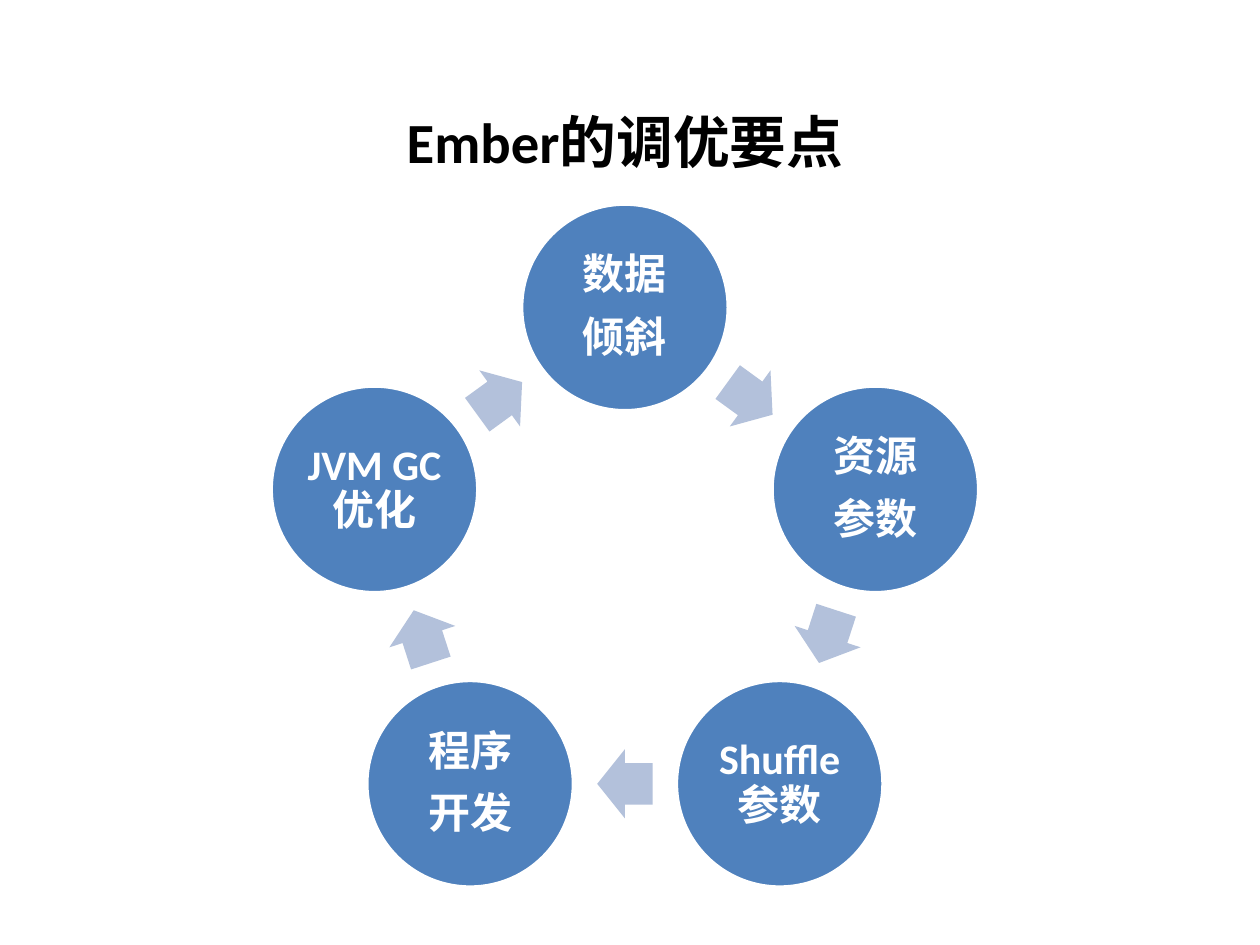
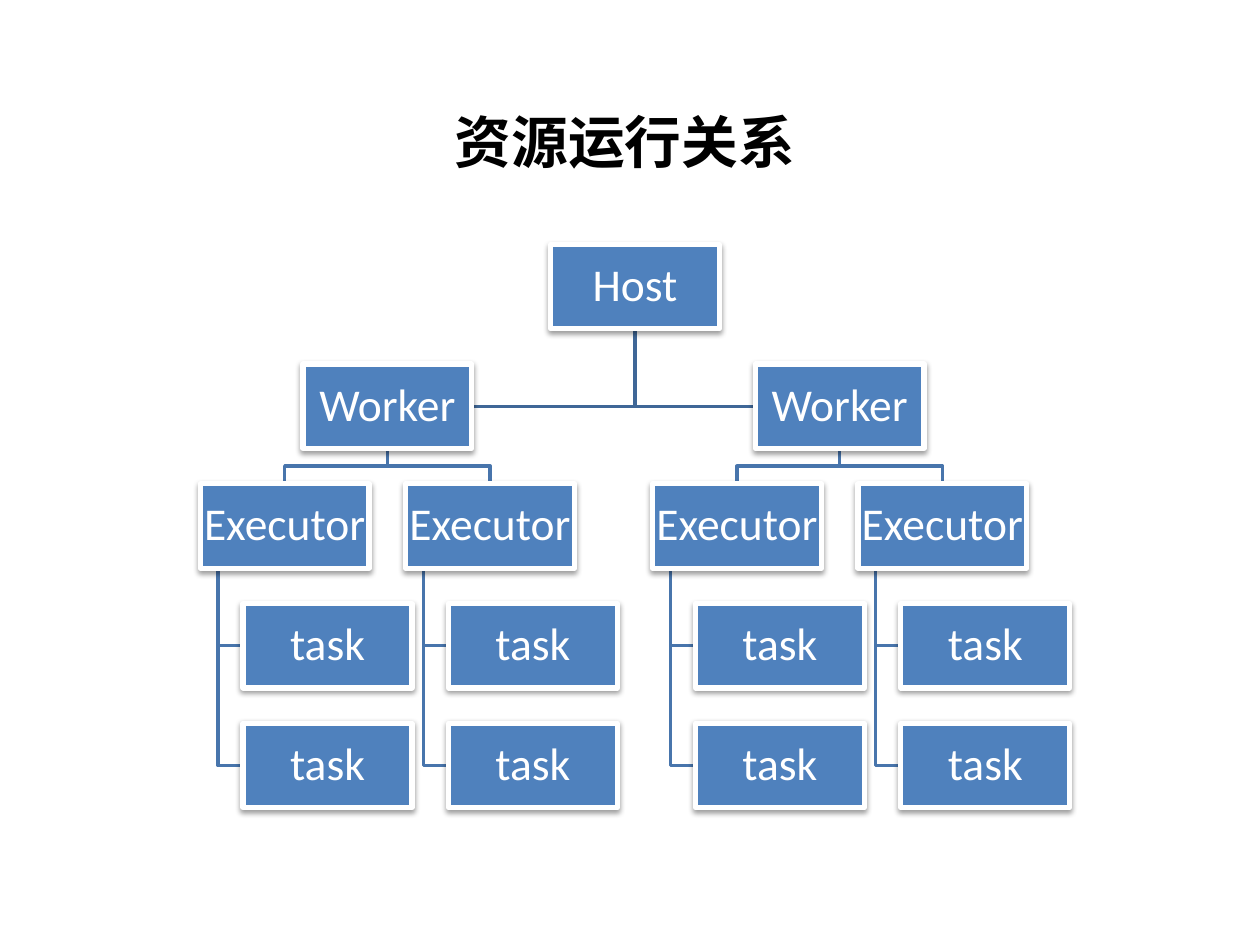
from dataclasses import dataclass
from math import cos, radians, sin

from lxml.etree import SubElement
from pptx import Presentation
from pptx.dml.color import RGBColor
from pptx.enum.shapes import MSO_SHAPE
from pptx.enum.text import MSO_ANCHOR, MSO_AUTO_SIZE, PP_ALIGN
from pptx.oxml.ns import qn
from pptx.util import Pt

PX = 9144


@dataclass(frozen=True)
class Theme:
    """Colours and type sizes of the deck."""
    font: str = "Calibri"
    ink: str = "000000"
    paper: str = "FFFFFF"
    accent: str = "4F81BD"
    pale: str = "B3C1DB"
    upper_branch: str = "3F6797"
    lower_branch: str = "4875AC"
    title_size: float = 32.4
    topic_size: int = 24
    node_size: int = 26


THEME = Theme()
TITLE_BOX = (43, 84, 906, 55)
RING_BOX = (215, 162, 562, 543)
TREE_BOX = (159, 194, 689, 448)

TOPICS = [["数据", "倾斜"], ["资源", "参数"], ["Shuffle参数"], ["程序", "开发"], ["JVM GC优化"]]
HOST = ("Host", [("Worker", [("Executor", ["task", "task"])] * 2)] * 2)


def emu(*lengths):
    """Turn px lengths into EMU."""
    return [round(length * PX) for length in lengths]


def assign(target, values):
    """Set each attribute named in a dict of format values."""
    for name, value in values.items():
        setattr(target, name, value)


def set_text(shape, lines, size, color, bold, inset=None, wrap=True, spaced=True):
    """Write centred lines into a shape."""
    frame = shape.text_frame
    assign(frame, {"text": "\n".join(lines), "word_wrap": wrap,
                   "auto_size": MSO_AUTO_SIZE.NONE, "vertical_anchor": MSO_ANCHOR.MIDDLE})
    if inset is not None:
        margin = emu(inset)[0]
        assign(frame, {f"margin_{side}": margin for side in ("left", "top", "right", "bottom")})
    for paragraph in frame.paragraphs:
        paragraph.alignment = PP_ALIGN.CENTER
        if spaced:
            assign(paragraph, {"line_spacing": 0.9, "space_after": Pt(size * 0.4)})
        for run in paragraph.runs:
            assign(run.font, {"name": THEME.font, "size": Pt(size), "bold": bold})
            run.font.color.rgb = RGBColor.from_string(color)


def set_outline(shape, color, width):
    """Give a shape a solid outline and no theme shadow."""
    shape.line.color.rgb = RGBColor.from_string(color)
    shape.line.width = Pt(width)
    shape.shadow.inherit = False


def add_filled(slide, preset, box, fill, outline_width=0):
    """Add a preset shape with a plain fill and an optional white outline."""
    shape = slide.shapes.add_shape(preset, *emu(*box))
    shape.fill.solid()
    shape.fill.fore_color.rgb = RGBColor.from_string(fill)
    if outline_width:
        set_outline(shape, THEME.paper, outline_width)
    else:
        shape.line.fill.background()
        shape.shadow.inherit = False
    return shape


def add_titled_slide(deck, title):
    """Add a title-only slide and format its title."""
    slide = deck.slides.add_slide(deck.slide_layouts[5])
    heading = slide.shapes.title
    assign(heading, dict(zip(("left", "top", "width", "height"), emu(*TITLE_BOX))))
    set_text(heading, [title], THEME.title_size, THEME.ink, True, spaced=False)
    return slide


def draw_ring(slide, box, topics):
    """Place topics clockwise on a ring, with an arrow between neighbours."""
    left, top, width, _ = box
    diameter, radius, arrow_width, arrow_height = 164, 209, 44, 55
    center_x, center_y = left + width / 2, top + diameter / 2 + radius
    step = 360 / len(topics)
    arrow_radius = radius * cos(radians(step / 2))

    def box_at(degrees, distance, w, h):
        """Return the box centred at a clockwise angle from the top."""
        angle = radians(degrees)
        return (center_x + distance * sin(angle) - w / 2,
                center_y - distance * cos(angle) - h / 2, w, h)

    for index, lines in enumerate(topics):
        degrees = index * step
        topic = add_filled(slide, MSO_SHAPE.OVAL, box_at(degrees, radius, diameter, diameter),
                           THEME.accent, 2)
        set_text(topic, lines, THEME.topic_size, THEME.paper, True, inset=3)
        halfway = degrees + step / 2
        arrow = add_filled(slide, MSO_SHAPE.RIGHT_ARROW,
                           box_at(halfway, arrow_radius, arrow_width, arrow_height), THEME.pale)
        arrow.rotation = halfway
        arrow.adjustments[0] = 0.6
        arrow.adjustments[1] = 0.5


def add_branch(slide, points, color):
    """Draw an open bent line through the points."""
    start, *rest = [emu(*point) for point in points]
    builder = slide.shapes.build_freeform(*start, scale=1.0)
    builder.add_line_segments(rest, close=False)
    branch = builder.convert_to_shape()
    branch.fill.background()
    set_outline(branch, color, 2)


def add_node(slide, label, x, y, width, height):
    """Add a labelled tree node with a soft shadow."""
    node = add_filled(slide, MSO_SHAPE.RECTANGLE, (x, y, width, height), THEME.accent, 3)
    effects = node._element.spPr.find(qn("a:effectLst"))
    shadow = SubElement(effects, qn("a:outerShdw"), blurRad="40000", dist="20000",
                        dir="5400000", rotWithShape="0")
    tint = SubElement(shadow, qn("a:srgbClr"), val=THEME.ink)
    SubElement(tint, qn("a:alpha"), val="38000")
    set_text(node, [label], THEME.node_size, THEME.paper, False, inset=2, wrap=False)


def draw_tree(slide, box, host):
    """Draw host, workers, executors and tasks, with branches behind the nodes."""
    left, top, _, _ = box
    node_width, node_height, row_step = 134, 67, 95
    worker_step, executor_step, task_indent, stem_indent = 359, 163, 34, 14
    half_width, half_height = node_width / 2, node_height / 2
    half_gap = (row_step - node_height) / 2
    rows = [top + level * row_step for level in range(5)]

    host_label, workers = host
    host_x = left + 278
    host_center = host_x + half_width
    nodes = [(host_label, host_x, rows[0])]
    branches = []
    for w, (worker_label, executors) in enumerate(workers):
        group_x = left + w * worker_step
        worker_x = group_x + executor_step / 2
        worker_center, worker_middle = worker_x + half_width, rows[1] + half_height
        near_side = worker_x + node_width if worker_center < host_center else worker_x
        nodes.append((worker_label, worker_x, rows[1]))
        branches.append(([(host_center, rows[0] + node_height), (host_center, worker_middle),
                          (near_side, worker_middle)], THEME.upper_branch))
        for e, (executor_label, tasks) in enumerate(executors):
            executor_x = group_x + e * executor_step
            executor_center = executor_x + half_width
            fork_y = rows[2] - half_gap
            nodes.append((executor_label, executor_x, rows[2]))
            branches.append(([(worker_center, rows[1] + node_height), (worker_center, fork_y),
                              (executor_center, fork_y), (executor_center, rows[2])],
                             THEME.lower_branch))
            stem_x, task_x = executor_x + stem_indent, executor_x + task_indent
            for task_label, task_y in zip(tasks, rows[3:]):
                task_middle = task_y + half_height
                nodes.append((task_label, task_x, task_y))
                branches.append(([(stem_x, rows[2] + node_height), (stem_x, task_middle),
                                  (task_x, task_middle)], THEME.lower_branch))

    for points, color in branches:
        add_branch(slide, points, color)
    for label, x, y in nodes:
        add_node(slide, label, x, y, node_width, node_height)


def main():
    """Build the deck and save it."""
    deck = Presentation()
    deck.slide_width, deck.slide_height = emu(1000, 750)
    draw_ring(add_titled_slide(deck, "Ember的调优要点"), RING_BOX, TOPICS)
    draw_tree(add_titled_slide(deck, "资源运行关系"), TREE_BOX, HOST)
    deck.save("out.pptx")


if __name__ == "__main__":
    main()
